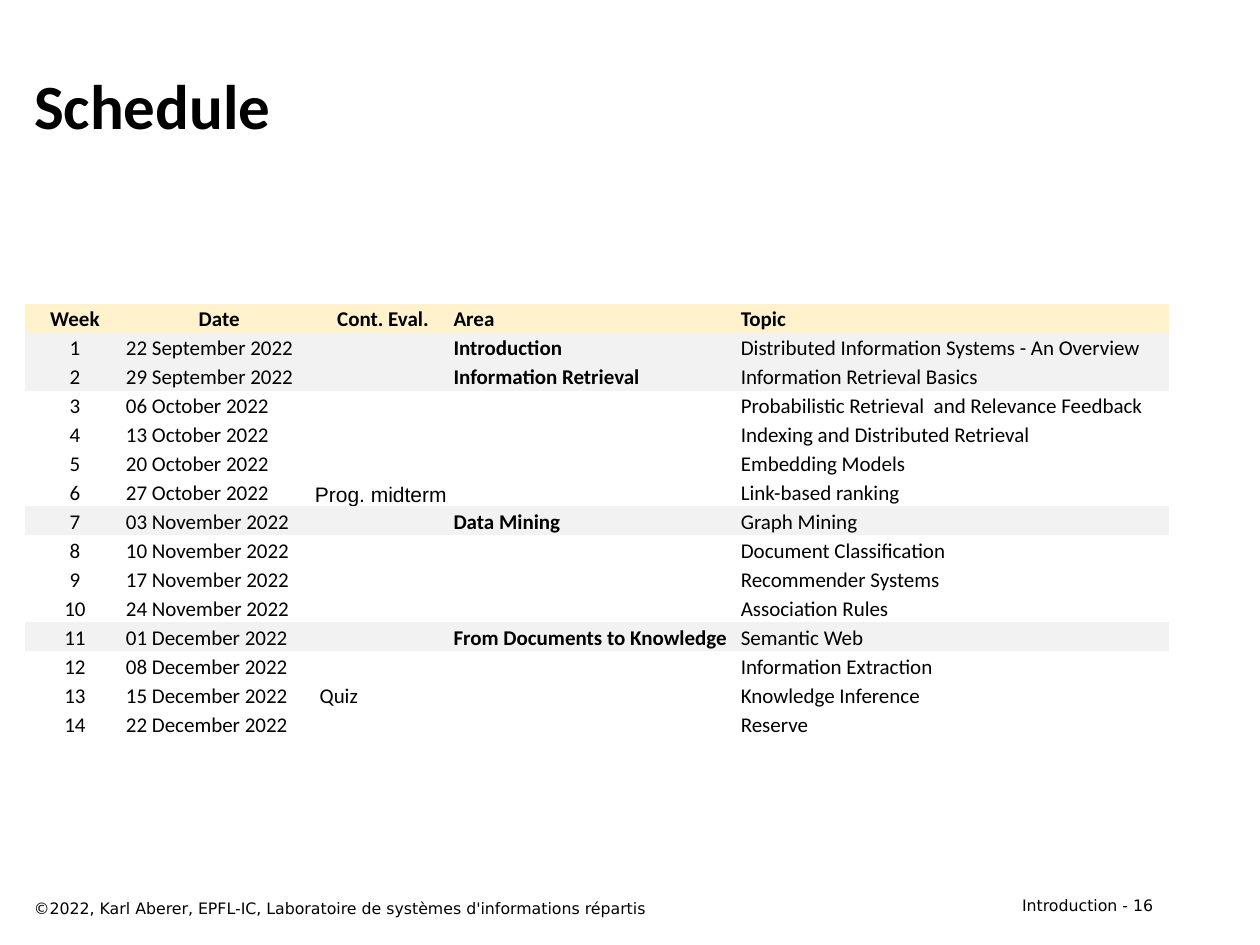
from dataclasses import dataclass
from typing import Any, NamedTuple

import pptx
import pptx.dml.color
import pptx.enum.text
import pptx.oxml
import pptx.oxml.ns
import pptx.util

Inches = pptx.util.Inches
Align = pptx.enum.text.PP_ALIGN
Anchor = pptx.enum.text.MSO_ANCHOR


@dataclass(frozen=True)
class Theme:
    ink: str = "000000"
    head: str = "FFF2CC"
    band: str = "F2F2F2"
    main: str = "Calibri"
    plain: str = "Arial"
    foot: str = "DejaVu Sans"
    big: int = 36
    body: int = 12
    small: int = 9
    grid: str = "{2D5ABB26-0587-4C30-8999-92F81FD0307C}"


class Week(NamedTuple):
    date: str
    topic: str
    area: str = ""
    test: str = ""


class Note(NamedTuple):
    text: str
    left: float
    top: float
    width: float
    align: Any


THEME = Theme()
HEADS = ("Week", "Date", "Cont. Eval.", "Area", "Topic")
WIDTHS = (0.79, 1.5, 1.1, 2.28, 3.41)
ROW = 0.23
WEEKS = (
    Week("22 September 2022", "Distributed Information Systems - An Overview", "Introduction"),
    Week("29 September 2022", "Information Retrieval Basics", "Information Retrieval"),
    Week("06 October 2022", "Probabilistic Retrieval  and Relevance Feedback"),
    Week("13 October 2022", "Indexing and Distributed Retrieval"),
    Week("20 October 2022", "Embedding Models"),
    Week("27 October 2022", "Link-based ranking", test="Prog. midterm"),
    Week("03 November 2022", "Graph Mining", "Data Mining "),
    Week("10 November 2022", "Document Classification"),
    Week("17 November 2022", "Recommender Systems"),
    Week("24 November 2022", "Association Rules"),
    Week("01 December 2022", "Semantic Web", "From Documents to Knowledge"),
    Week("08 December 2022", "Information Extraction"),
    Week("15 December 2022", "Knowledge Inference", test=" Quiz"),
    Week("22 December 2022", "Reserve"),
)
NOTES = (
    Note("Introduction - 16", 7.17, 7.06, 2.08, Align.RIGHT),
    Note(
        "©2022, Karl Aberer, EPFL-IC, Laboratoire de systèmes d'informations répartis",
        0.17, 7.08, 6.42, Align.LEFT,
    ),
)


def style(frame: Any, face: str, size: int, bold: bool = False, align: Any = Align.LEFT) -> None:
    for para in frame.paragraphs:
        para.alignment = align
        for run in para.runs:
            run.font.name = face
            run.font.size = pptx.util.Pt(size)
            run.font.bold = bold
            run.font.color.rgb = pptx.dml.color.RGBColor.from_string(THEME.ink)


def draw_title(slide: Any, text: str) -> None:
    title = slide.shapes.title
    title.left, title.top = Inches(0.17), Inches(0.33)
    title.width, title.height = Inches(9.08), Inches(1)
    title.text_frame.text = text
    title.text_frame.vertical_anchor = Anchor.MIDDLE
    style(title.text_frame, THEME.main, THEME.big, True)


def draw_note(slide: Any, note: Note) -> None:
    box = slide.shapes.add_textbox(
        Inches(note.left), Inches(note.top), Inches(note.width), Inches(0.25)
    )
    box.text_frame.word_wrap = True
    box.text_frame.text = note.text
    style(box.text_frame, THEME.foot, THEME.small, align=note.align)


def fill_cell(cell: Any, text: str, face: str, bold: bool, align: Any, fill: str) -> None:
    cell.margin_left = cell.margin_right = cell.margin_top = Inches(0.01)
    cell.margin_bottom = 0
    cell.vertical_anchor = Anchor.BOTTOM
    if fill:
        cell.fill.solid()
        cell.fill.fore_color.rgb = pptx.dml.color.RGBColor.from_string(fill)
    else:
        cell.fill.background()
    if text:
        cell.text_frame.text = text
        style(cell.text_frame, face, THEME.body, bold, align)
    else:
        mark = f'<a:endParaRPr {pptx.oxml.ns.nsdecls("a")} sz="{THEME.body * 100}"/>'
        cell.text_frame.paragraphs[0]._p.append(pptx.oxml.parse_xml(mark))


def draw_table(slide: Any) -> None:
    count = len(WEEKS) + 1
    table = slide.shapes.add_table(
        count, len(HEADS), Inches(0.2), Inches(2.41), Inches(sum(WIDTHS)), Inches(ROW * count)
    ).table
    table.first_row = table.horz_banding = False
    table._tbl.tblPr.find(pptx.oxml.ns.qn("a:tableStyleId")).text = THEME.grid
    for col, width in zip(table.columns, WIDTHS):
        col.width = Inches(width)
    for row in table.rows:
        row.height = Inches(ROW)
    for col, text in enumerate(HEADS):
        align = Align.CENTER if col < 3 else Align.LEFT
        fill_cell(table.cell(0, col), text, THEME.main, True, align, THEME.head)
    for num, week in enumerate(WEEKS, 1):
        fill = THEME.band if week.area else ""
        texts = (str(num), week.date, week.test, week.area, week.topic)
        for col, text in enumerate(texts):
            face = THEME.plain if text == "Prog. midterm" else THEME.main
            align = Align.LEFT if col else Align.CENTER
            fill_cell(table.cell(num, col), text, face, col == 3, align, fill)
    table.cell(count - 1, 2).merge(table.cell(count - 1, 3))


def main() -> None:
    deck = pptx.Presentation()
    deck.slide_width, deck.slide_height = Inches(10), Inches(7.5)
    slide = deck.slides.add_slide(deck.slide_layouts[5])
    draw_title(slide, "Schedule")
    draw_table(slide)
    for note in NOTES:
        draw_note(slide, note)
    deck.save("out.pptx")


if __name__ == "__main__":
    main()
